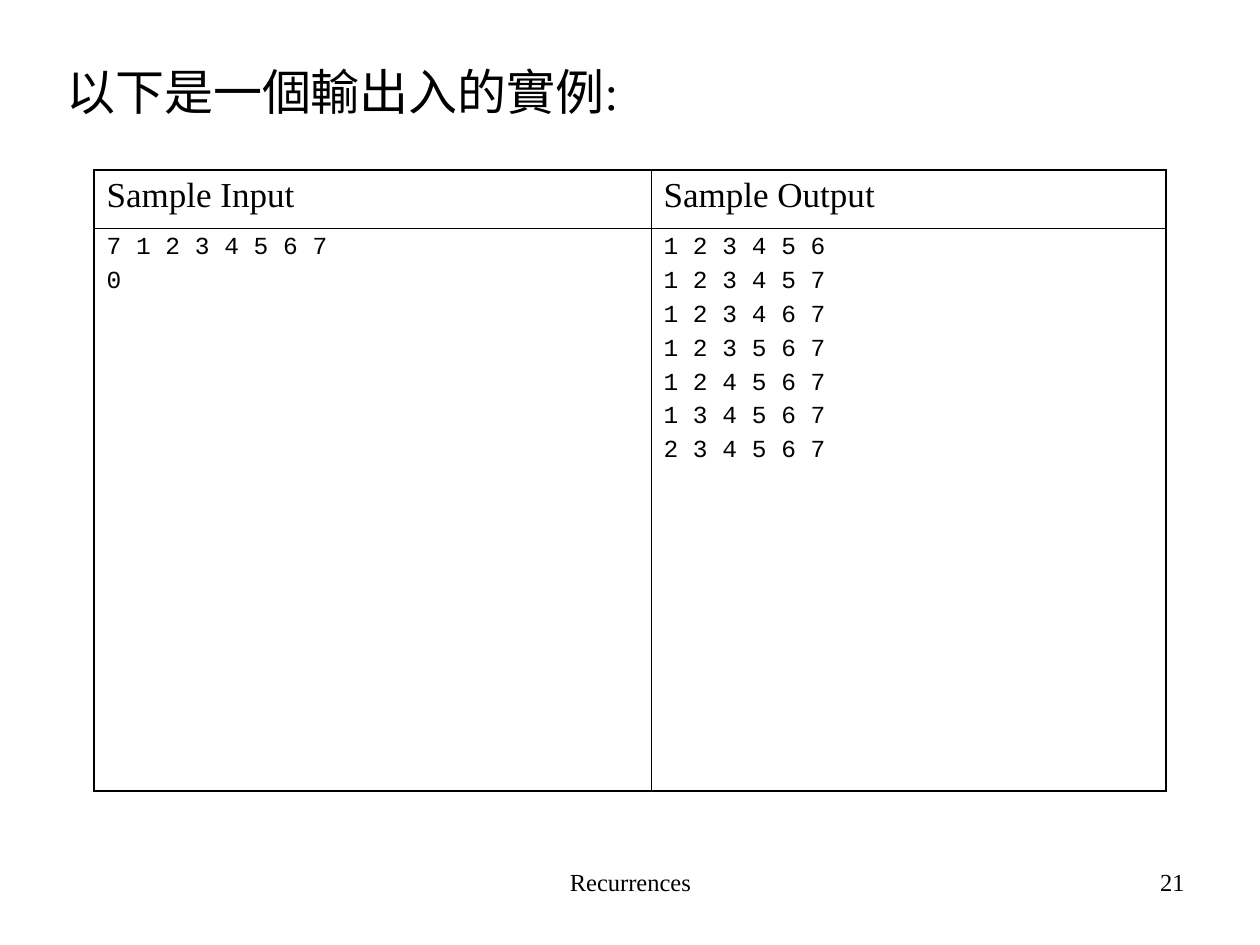
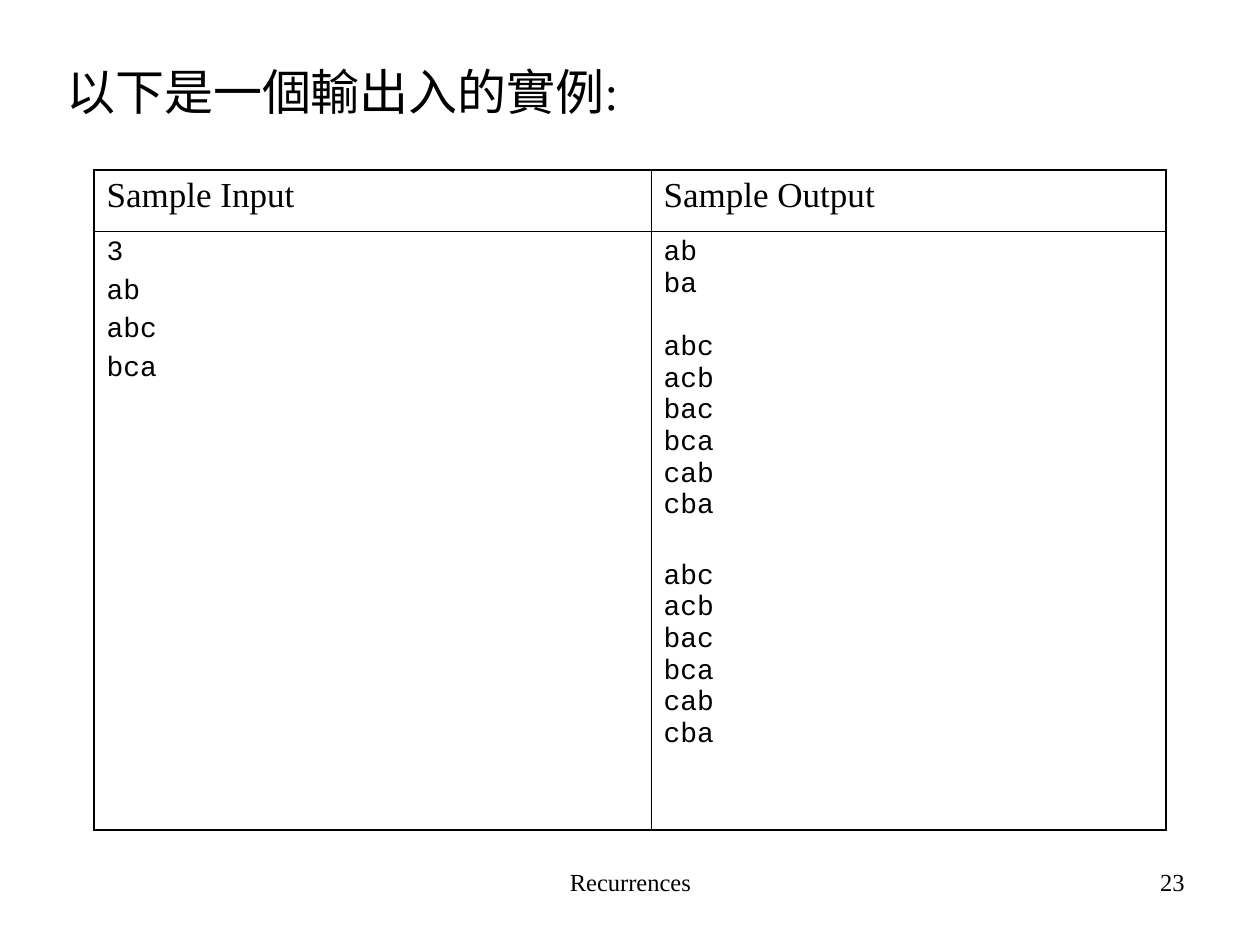
from dataclasses import dataclass
from typing import NamedTuple

from lxml import etree
from pptx import Presentation
from pptx import util as u
from pptx.dml.color import RGBColor
from pptx.enum import text
from pptx.oxml import ns

SCALE = 914400 / 126
INK = RGBColor(0, 0, 0)
SERIF, MONO = "Times New Roman", "Courier New"
OUTER, INNER = 1.08, 0.45
COLS = (557, 515)
HEADS = ("Sample Input", "Sample Output")


class Box(NamedTuple):
    left: int
    top: int
    width: int
    height: int


class Group(NamedTuple):
    lines: list[str]
    gap: float
    step: float


@dataclass
class Sample:
    page: int
    size: int
    rows: tuple[int, int]
    input: list[Group]
    output: list[Group]


TITLE = Box(54, 55, 1134, 624)
FOOT = Box(431, 861, 399, 66)
PAGE = Box(903, 861, 294, 66)

ORDERS = ["abc", "acb", "bac", "bca", "cab", "cba"]
PICKS = ["1 2 3 4 5 6", "1 2 3 4 5 7", "1 2 3 4 6 7", "1 2 3 5 6 7",
         "1 2 4 5 6 7", "1 3 4 5 6 7", "2 3 4 5 6 7"]
SAMPLES = [
    Sample(21, 14, (58, 563),
           [Group(["7 1 2 3 4 5 6 7", "0"], 3.5, 3.5)],
           [Group(PICKS, 3.5, 3.5)]),
    Sample(23, 16, (61, 599),
           [Group(["3", "ab", "abc", "bca"], 4, 4)],
           [Group(["ab", "ba"], 4, 0), Group(ORDERS, 18, 0),
            Group(ORDERS, 22, 0)]),
]


def px(count: int) -> u.Emu:
    return u.Emu(round(count * SCALE))


def write(frame, groups: list[Group], *, size: int, font: str = SERIF,
          align=text.PP_ALIGN.LEFT) -> None:
    frame.word_wrap = True
    lines = [(line, group.step if n else group.gap)
             for group in groups for n, line in enumerate(group.lines)]
    for n, (line, gap) in enumerate(lines):
        para = frame.add_paragraph() if n else frame.paragraphs[0]
        para.alignment = align
        para.space_before = u.Pt(gap)
        run = para.add_run()
        run.text = line
        run.font.size = u.Pt(size)
        run.font.name = font
        run.font.color.rgb = INK


def label(slide, box: Box, words: str, *, gap: float = 0, **form) -> None:
    shape = slide.shapes.add_textbox(*map(px, box))
    write(shape.text_frame, [Group([words], gap, 0)], **form)


def border(cell, row: int, col: int) -> None:
    props = cell._tc.get_or_add_tcPr()
    outer = {"L": col == 0, "R": col == 1, "T": row == 0, "B": row == 1}
    for side, edge in outer.items():
        width = u.Pt(OUTER if edge else INNER)
        line = etree.SubElement(props, ns.qn(f"a:ln{side}"), w=str(width))
        fill = etree.SubElement(line, ns.qn("a:solidFill"))
        etree.SubElement(fill, ns.qn("a:srgbClr"), val=str(INK))


def grid(slide, sample: Sample) -> None:
    box = Box(94, 170, sum(COLS), sum(sample.rows))
    table = slide.shapes.add_table(2, 2, *map(px, box)).table
    table.first_row = table.horz_banding = False
    for col, width in zip(table.columns, COLS):
        col.width = px(width)
    for row, height in zip(table.rows, sample.rows):
        row.height = px(height)
    for col, (head, groups) in enumerate(
            zip(HEADS, (sample.input, sample.output))):
        write(table.cell(0, col).text_frame, [Group([head], 5, 0)], size=20)
        write(table.cell(1, col).text_frame, groups,
              size=sample.size, font=MONO)
        for row in range(2):
            cell = table.cell(row, col)
            border(cell, row, col)
            cell.fill.background()


def main() -> None:
    deck = Presentation()
    deck.slide_width, deck.slide_height = px(1260), px(945)
    for sample in SAMPLES:
        slide = deck.slides.add_slide(deck.slide_layouts[6])
        label(slide, FOOT, "Recurrences", size=14,
              align=text.PP_ALIGN.CENTER)
        label(slide, PAGE, str(sample.page), size=14,
              align=text.PP_ALIGN.RIGHT)
        label(slide, TITLE, "以下是一個輸出入的實例:", size=28, gap=7)
        grid(slide, sample)
    deck.save("out.pptx")


if __name__ == "__main__":
    main()
